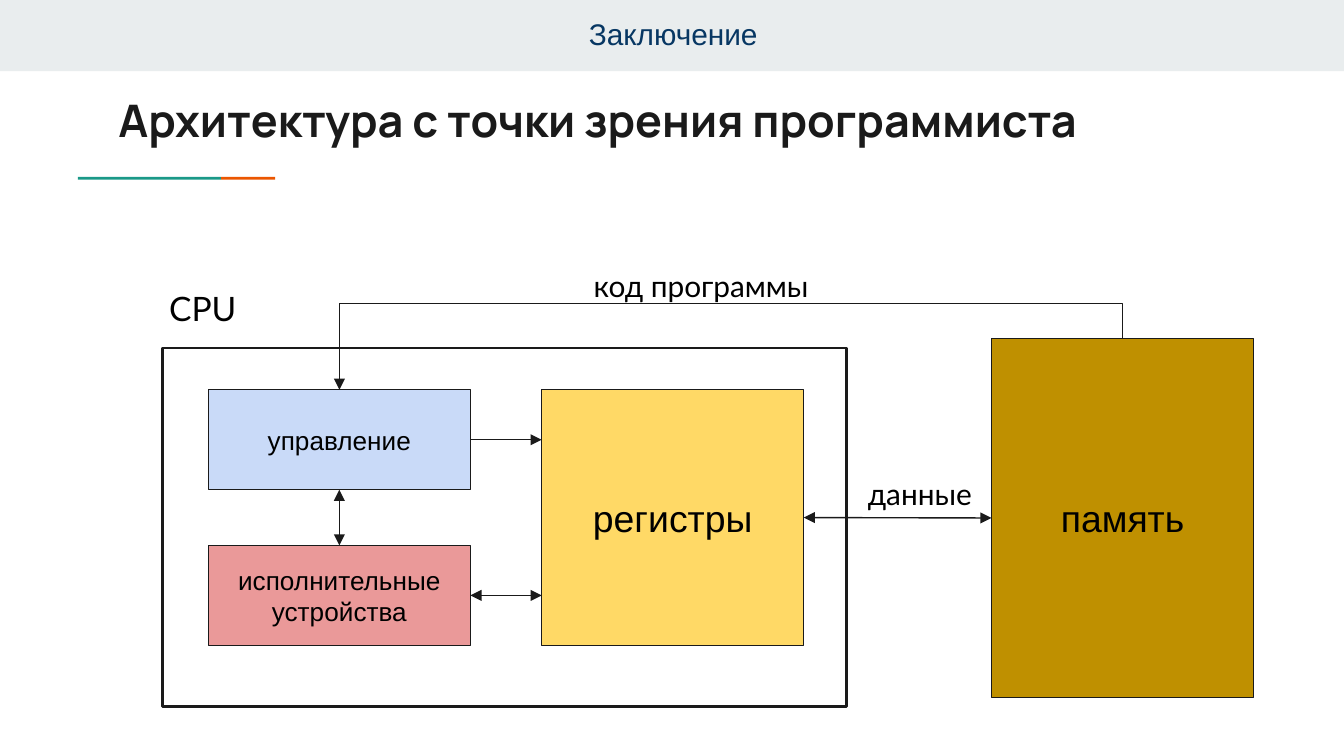
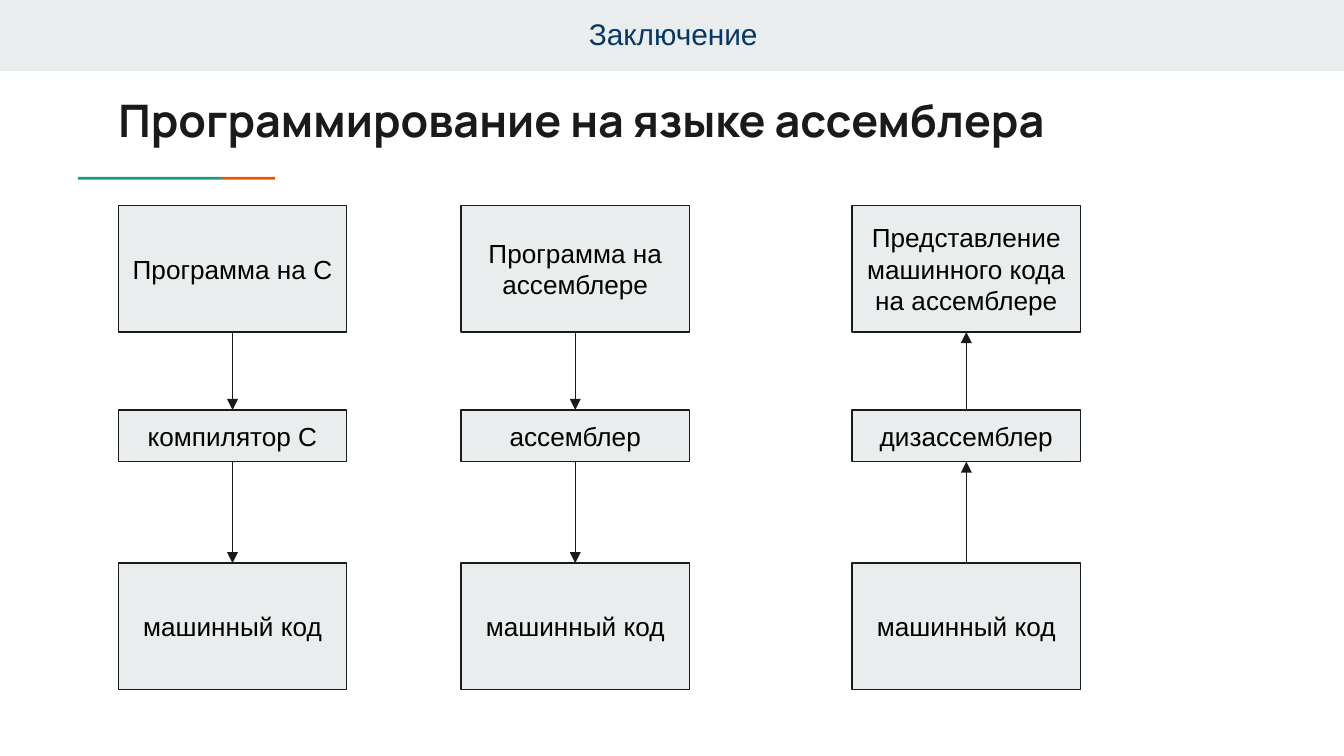
from lxml.etree import SubElement
from pptx import Presentation
from pptx.dml.color import RGBColor
from pptx.enum.shapes import MSO_CONNECTOR, MSO_SHAPE
from pptx.enum.text import MSO_ANCHOR, MSO_AUTO_SIZE, PP_ALIGN
from pptx.oxml.ns import qn
from pptx.util import Pt

COLORS = {
    "ink": "1A1A1A", "text": "000000", "section": "073763", "band": "E9EDEE",
    "teal": "1A9988", "orange": "EB5600", "control": "C9DAF8",
    "registers": "FFD966", "units": "EA9999", "memory": "BF9000",
}
SECTION = "Заключение"
TITLES = ["Архитектура с точки зрения программиста",
          "Программирование на языке ассемблера"]

BOX_W = 140.4
CPU_FRAME = (87.1, 186.5, 366.5, 192.2)
CPU_BOXES = {
    "control": ("управление", (111.6, 208.8, BOX_W, 53.6), 14),
    "registers": ("регистры", (290.2, 208.8, BOX_W, 137), 20),
    "units": ("исполнительные устройства", (111.6, 292.2, BOX_W, 53.6), 14),
    "memory": ("память", (531.2, 181.4, BOX_W, 192.2), 20),
}
CPU_LABELS = [
    ("код программы", (311, 136.1, BOX_W, 29.5), 16, PP_ALIGN.LEFT),
    ("данные", (422.6, 247.7, BOX_W, 29.5), 16, PP_ALIGN.CENTER),
    ("CPU", (83.5, 146.9, 81.4, 29.5), 18, PP_ALIGN.LEFT),
]
CODE_BUS_Y = 162.7

STEP_W = 122.4
STEP_ROWS = [(110.2, 67.7), (219.6, 27.7), (301.7, 67.7)]
FLOWS = [
    (63.4, ["Программа на C", "компилятор C", "машинный код"], True),
    (247, ["Программа на ассемблере", "ассемблер", "машинный код"], True),
    (456.5, ["Представление машинного кода на ассемблере", "дизассемблер",
             "машинный код"], False),
]
TOP, LEFT, BOTTOM, RIGHT = range(4)


def rgb(name):
    return RGBColor.from_string(COLORS[name])


def put_text(s, text, size=14, font="Arial", color="text", bold=False,
             align=PP_ALIGN.CENTER, anchor=MSO_ANCHOR.MIDDLE):
    tf = s.text_frame
    tf.word_wrap = True
    tf.auto_size = MSO_AUTO_SIZE.NONE
    tf.vertical_anchor = anchor
    tf.margin_left = tf.margin_right = tf.margin_top = tf.margin_bottom = Pt(7.2)
    p = tf.paragraphs[0]
    p.alignment = align
    r = p.add_run()
    r.text = text
    r.font.size, r.font.name, r.font.bold = Pt(size), font, bold
    r.font.color.rgb = rgb(color)


def add_label(slide, text, at, **fmt):
    put_text(slide.shapes.add_textbox(*map(Pt, at)), text, **fmt)


def add_box(slide, at, fill=None, line=None, text=None, size=14):
    s = slide.shapes.add_shape(MSO_SHAPE.RECTANGLE, *map(Pt, at))
    s.shadow.inherit = False
    if fill:
        s.fill.solid()
        s.fill.fore_color.rgb = rgb(fill)
    else:
        s.fill.background()
    if line:
        s.line.color.rgb = rgb("ink")
        s.line.width = Pt(line)
    else:
        s.line.fill.background()
    if text:
        put_text(s, text, size)
    return s


def style_line(c, heads):
    c.line.color.rgb = rgb("ink")
    c.line.width = Pt(0.75)
    ln = c.line._get_or_add_ln()
    for end in heads:
        SubElement(ln, qn(f"a:{end}End"), type="triangle")
    SubElement(c._element.spPr, qn("a:effectLst"))


def side_point(s, side):
    x = s.left + (0, s.width, 2 * s.width)[{LEFT: 0, RIGHT: 2}.get(side, 1)] // 2
    y = s.top + (0, s.height, 2 * s.height)[{TOP: 0, BOTTOM: 2}.get(side, 1)] // 2
    return x, y


def add_arrow(slide, a, side_a, b, side_b, heads=("tail",), level=False):
    x1, y1 = side_point(a, side_a)
    x2, y2 = side_point(b, side_b)
    c = slide.shapes.add_connector(MSO_CONNECTOR.STRAIGHT, x1, y1, x2,
                                   y1 if level else y2)
    c.begin_connect(a, side_a)
    if not level:
        c.end_connect(b, side_b)
    style_line(c, heads)


def add_code_bus(slide, control, memory):
    x1, y1 = side_point(control, TOP)
    x2, y2 = side_point(memory, TOP)
    w, h = y1 - y2, x2 - x1
    left, top = (x1 + x2 - w) // 2, (y1 + y2 - h) // 2
    c = slide.shapes.add_connector(MSO_CONNECTOR.ELBOW, left, top, left + w, top + h)
    sp_pr = c._element.spPr
    sp_pr.find(qn("a:xfrm")).set("rot", str(270 * 60000))
    geom = sp_pr.find(qn("a:prstGeom"))
    av = geom.find(qn("a:avLst"))
    if av is None:
        av = SubElement(geom, qn("a:avLst"))
    bend = round((y1 - Pt(CODE_BUS_Y)) / w * 100000)
    SubElement(av, qn("a:gd"), name="adj1", fmla=f"val {bend}")
    style_line(c, ("head",))


def add_slide(prs, title):
    slide = prs.slides.add_slide(prs.slide_layouts[5])
    add_box(slide, (0, 0, 720, 38.2), "band")
    add_box(slide, (41.8, 94.7, 76.6, 1.5), "teal")
    add_box(slide, (118.4, 94.7, 29, 1.5), "orange")
    s = slide.shapes.title
    s.left, s.top, s.width, s.height = map(Pt, (56.2, 42.5, 622, 46))
    put_text(s, title, 24, "Manrope", "ink", True, PP_ALIGN.LEFT, MSO_ANCHOR.TOP)
    add_label(slide, SECTION, (0.7, 0, 720, 36), size=16, color="section")
    return slide


def build_architecture(slide):
    box = {name: add_box(slide, at, name, 0.75, text, size)
           for name, (text, at, size) in CPU_BOXES.items()}
    add_box(slide, CPU_FRAME, line=1.5)
    both = ("head", "tail")
    add_arrow(slide, box["control"], RIGHT, box["registers"], LEFT, level=True)
    add_arrow(slide, box["units"], RIGHT, box["registers"], LEFT, both, level=True)
    add_arrow(slide, box["control"], BOTTOM, box["units"], TOP, both)
    add_arrow(slide, box["registers"], RIGHT, box["memory"], LEFT, both)
    add_code_bus(slide, box["control"], box["memory"])
    for text, at, size, align in CPU_LABELS:
        add_label(slide, text, at, size=size, font="Lato", align=align,
                  anchor=MSO_ANCHOR.TOP)


def build_flows(slide):
    for x, steps, down in FLOWS:
        boxes = [add_box(slide, (x, y, STEP_W, h), "band", 0.75, text)
                 for text, (y, h) in zip(steps, STEP_ROWS)]
        for upper, lower in zip(boxes, boxes[1:]):
            if down:
                add_arrow(slide, upper, BOTTOM, lower, TOP)
            else:
                add_arrow(slide, lower, TOP, upper, BOTTOM)


def main():
    prs = Presentation()
    prs.slide_width, prs.slide_height = Pt(720), Pt(405)
    for title, build in zip(TITLES, (build_architecture, build_flows)):
        build(add_slide(prs, title))
    prs.save("out.pptx")


if __name__ == "__main__":
    main()
